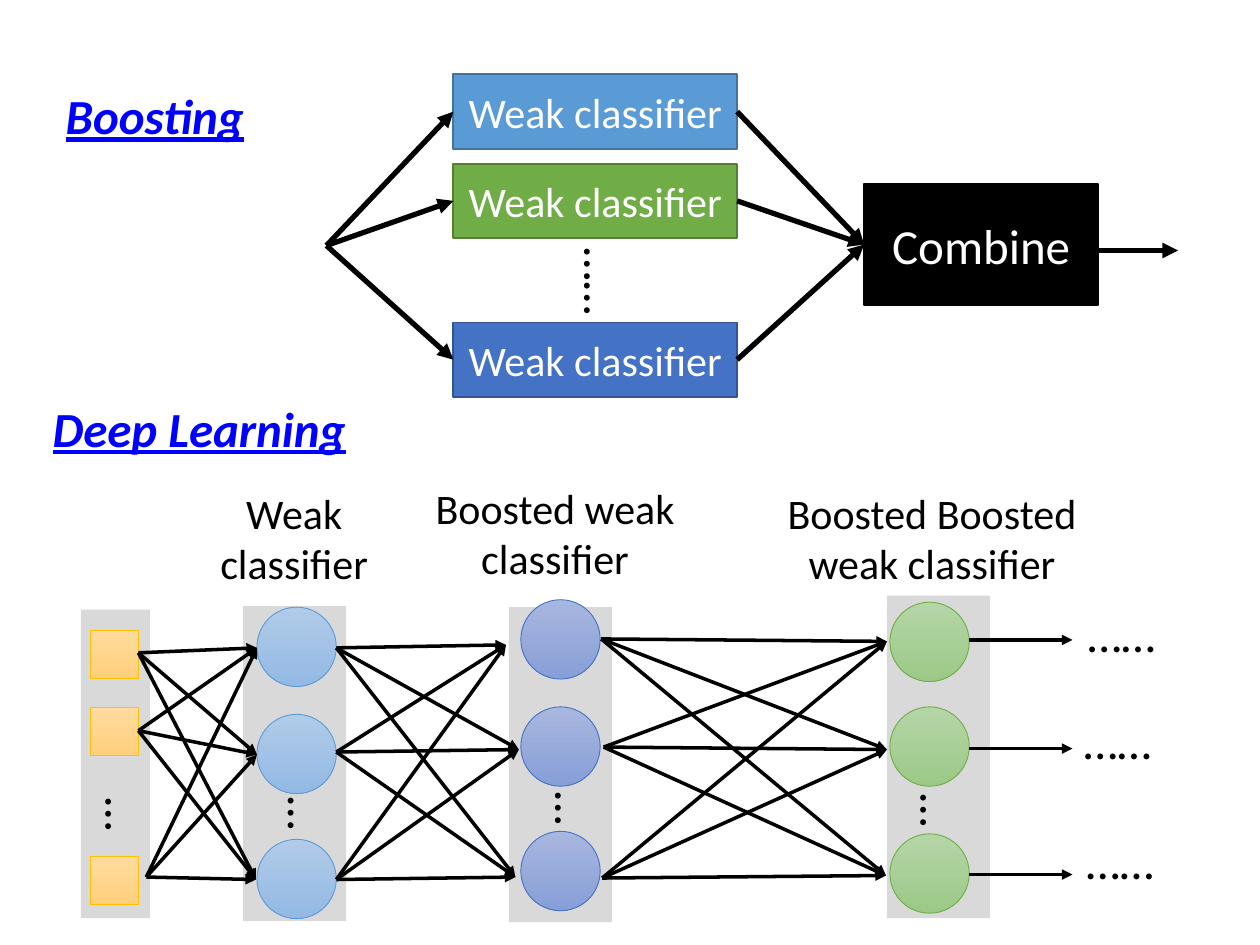
from dataclasses import dataclass
from itertools import product

from lxml.etree import SubElement
from pptx import Presentation
from pptx.dml.color import RGBColor
from pptx.enum.shapes import MSO_CONNECTOR, MSO_SHAPE
from pptx.enum.text import MSO_ANCHOR, PP_ALIGN
from pptx.oxml.ns import qn
from pptx.util import Cm, Pt


@dataclass(frozen=True)
class Theme:
    font: str = "Calibri"
    big: int = 28
    small: int = 24
    black: str = "000000"
    white: str = "FFFFFF"
    title: str = "0000FF"
    panel: str = "D9D9D9"
    # Fill and edge of the weak classifiers
    weak: tuple = (("5B9BD5", "43739E"), ("70AD47", "538035"), ("4472C4", "325491"))
    # Top fill, bottom fill and edge of each layer
    layers: tuple = (("FFDB9E", "FFD07C", "FFC000"), ("B1CBE9", "93B9E4", "5B9BD5"),
                     ("A8B7DF", "889ED7", "4472C4"), ("B5D5A7", "9CC987", "70AD47"))


theme = Theme()
rgb = RGBColor.from_string
deck = Presentation()
deck.slide_width, deck.slide_height = Cm(25.4), Cm(19.05)
shapes = deck.slides.add_slide(deck.slide_layouts[6]).shapes


def box(spot, words="", size=theme.big, ink=theme.black, fill=(), edge=None,
        width=0.5, kind=MSO_SHAPE.RECTANGLE, turn=0):
    """A filled shape, or a text box when there is no fill; two fills blend."""
    area = [Cm(v) for v in spot]
    if fill:
        item = shapes.add_shape(kind, *area)
        item.shadow.inherit = False
        if len(fill) == 2:
            item.fill.gradient()
            item.fill.gradient_angle = 270
            for stop, shade in zip(item.fill.gradient_stops, fill):
                stop.color.rgb = rgb(shade)
                stop.position = fill.index(shade)
        else:
            item.fill.solid()
            item.fill.fore_color.rgb = rgb(fill[0])
        if edge:
            item.line.color.rgb = rgb(edge)
            item.line.width = Pt(width)
        else:
            item.line.fill.background()
    else:
        item = shapes.add_textbox(*area)
    item.rotation = turn
    if words:
        frame = item.text_frame
        frame.word_wrap = True
        frame.vertical_anchor = MSO_ANCHOR.MIDDLE if fill else MSO_ANCHOR.TOP
        frame.text = words
        line = frame.paragraphs[0]
        line.alignment = PP_ALIGN.CENTER
        font = line.runs[0].font
        font.name, font.size, font.color.rgb = theme.font, Pt(size), rgb(ink)
    return item


def arrow(start, end, width=2):
    item = shapes.add_connector(MSO_CONNECTOR.STRAIGHT, *[Cm(v) for v in (*start, *end)])
    item.line.color.rgb = rgb(theme.black)
    item.line.width = Pt(width)
    SubElement(item.line._get_or_add_ln(), qn("a:tailEnd"), type="triangle")
    SubElement(item._element.spPr, qn("a:effectLst"))


# Section titles
for words, spot, align in (("Boosting", (0.81, 1.6, 4.62, 1.45), PP_ALIGN.CENTER),
                           ("Deep Learning", (0.81, 7.9, 9.07, 1.45), PP_ALIGN.LEFT)):
    line = box(spot, words, ink=theme.title).text_frame.paragraphs[0]
    line.alignment = align
    font = line.runs[0].font
    font.bold = font.italic = font.underline = True

# Boosting: weak classifiers between the fork and the combiner
fork, join = (6.58, 4.95), (17.42, 4.93)
left, wide, high = 9.14, 5.72, 1.5
for top, (fill, edge) in zip((1.5, 3.3, 6.5), theme.weak):
    box((left, top, wide, high), "Weak classifier", theme.small, theme.white,
        (fill,), edge, 1)
    mid = top + high / 2
    arrow(fork, (left, mid), 3)
    arrow((left + wide, mid), join, 3)
box((11.1, 4.95, 2.13, 1.45), "……", turn=90)
box((17.42, 3.71, 4.72, 2.44), "Combine", ink=theme.white,
    fill=(theme.black,), edge=theme.black, width=1)
arrow((22.1, 5.05), (23.75, 5.05), 3)

# Deep learning: layer names
for words, spot in (("Weak classifier", (3.91, 9.7, 4.04, 2.31)),
                    ("Boosted weak classifier", (8.33, 9.6, 5.72, 2.31)),
                    ("Boosted Boosted weak classifier", (15.27, 9.7, 7.04, 2.31))):
    box(spot, words, theme.small)

# Layers: panel, node left, node tops, node size, dots
square, round_ = MSO_SHAPE.RECTANGLE, MSO_SHAPE.OVAL
layers = (
    ((1.63, 12.29, 1.4, 6.22), 1.82, (12.7, 14.27, 17.27), 0.97, square, (1.45, 15.7)),
    ((4.9, 12.22, 2.08, 6.35), 5.18, (12.24, 14.4, 16.92), 1.6, round_, (5.13, 15.67)),
    ((10.26, 12.24, 2.08, 6.35), 10.5, (12.09, 14.25, 16.76), 1.6, round_, (10.52, 15.57)),
    ((17.88, 12.01, 2.08, 6.5), 17.94, (12.14, 14.25, 16.81), 1.6, round_, (17.88, 15.62)),
)
for (panel, left, tops, side, kind, dots), (light, dark, edge) in zip(layers, theme.layers):
    box(panel, fill=(theme.panel,))
    for top in tops:
        box((left, top, side, side), fill=(light, dark), edge=edge, kind=kind)
    box((*dots, 2.13, 1.45), "…", turn=90)

# Every node feeds every node of the next layer
links = (
    (((2.79, 13.16), (2.79, 14.73), (2.95, 17.68)),
     ((5.18, 13.06), (5.18, 15.21), (5.16, 17.73))),
    (((6.78, 13.06), (6.78, 15.16), (6.78, 17.73)),
     ((10.2, 13), (10.46, 15.11), (10.39, 17.68))),
    (((12.12, 12.88), (12.17, 15.06), (12.14, 17.7)),
     ((17.88, 12.93), (17.88, 15.11), (17.86, 17.65))),
)
for outs, ins in links:
    for start, end in product(outs, ins):
        arrow(start, end)

# The network goes on to the right
for mid, left, top in ((12.9, 21.54, 12.04), (15.09, 21.46, 14.2), (17.63, 21.51, 16.61)):
    arrow((19.54, mid), (21.62, mid))
    box((left, top, 2.13, 1.45), "……")

deck.save("out.pptx")
